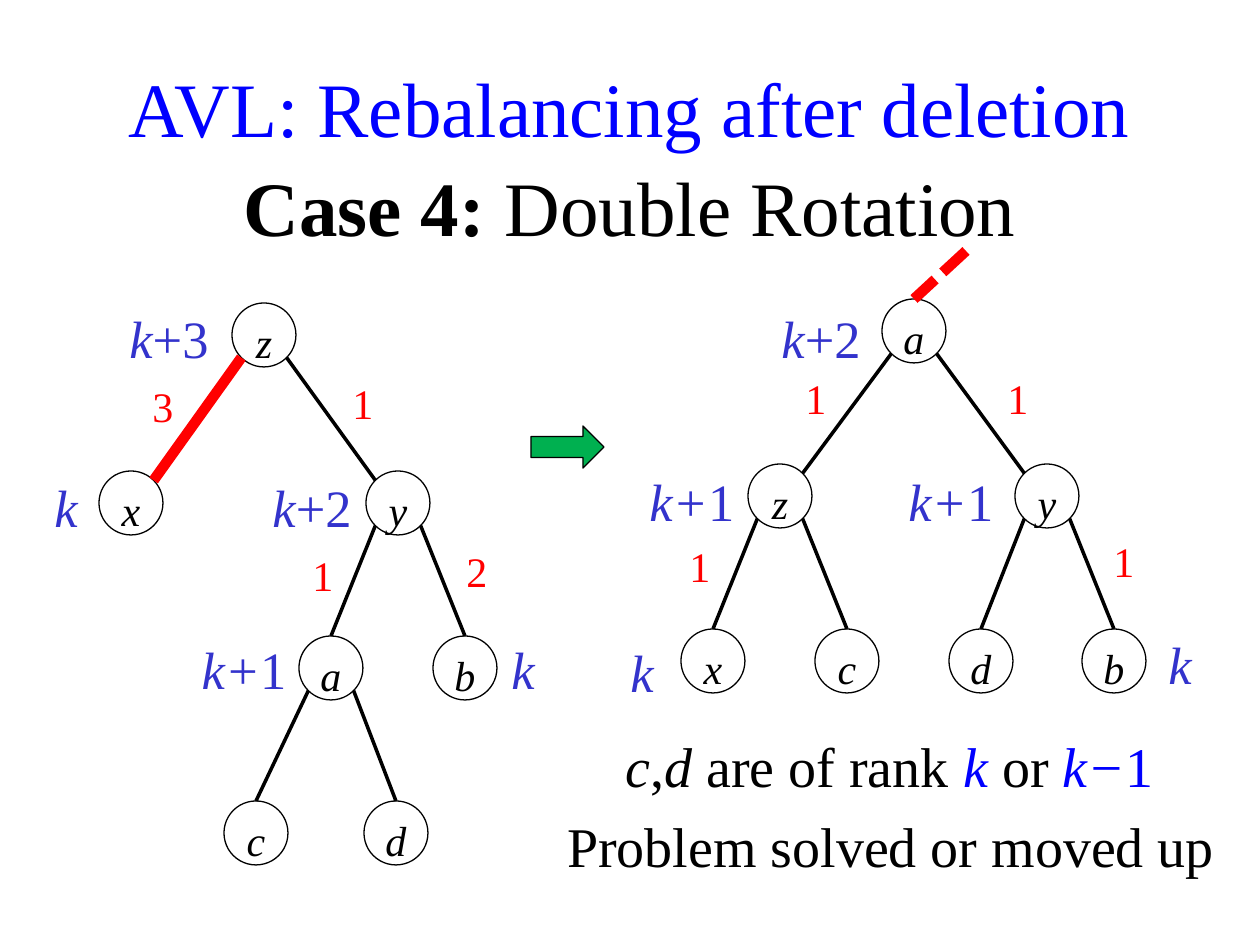
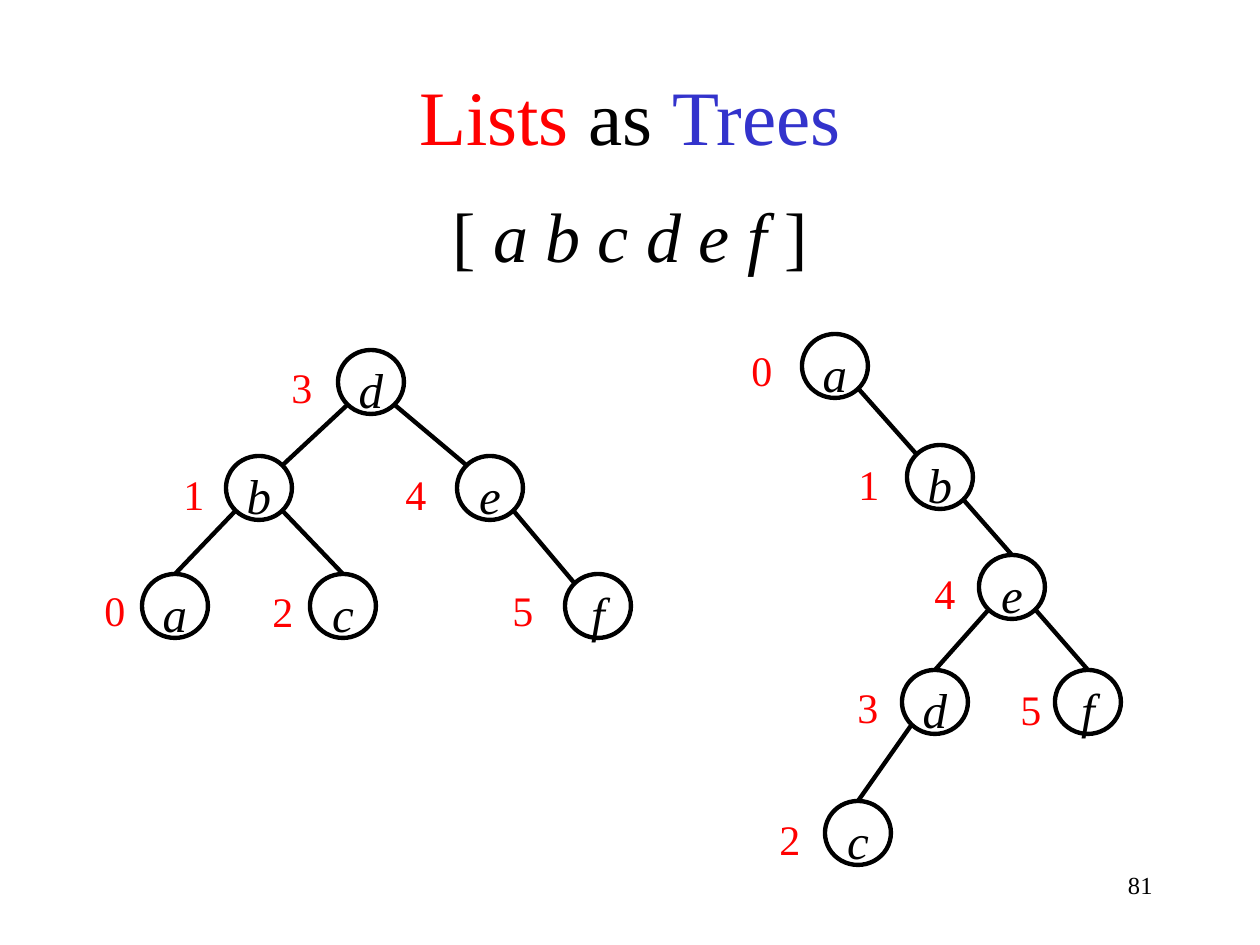
"""Builds two slides on AVL double rotation and on lists stored as trees."""
from dataclasses import dataclass

from lxml import etree
from pptx import Presentation
from pptx import util as u
from pptx.dml.color import RGBColor
from pptx.enum import dml, shapes, text
from pptx.oxml.ns import qn

PX = u.Inches(1) / 126


@dataclass(frozen=True)
class Theme:
    font: str = "Times New Roman"
    black: str = "000000"
    red: str = "FF0000"
    blue: str = "0000FF"
    indigo: str = "3333CC"
    green: str = "00B050"
    title: int = 44
    list: int = 40
    note: int = 32
    rank: int = 30
    digit: int = 24
    number: int = 14
    thin: float = 0.75
    heavy: int = 6
    drop: float = 0.12


@dataclass(frozen=True)
class NodeStyle:
    width: int
    height: int
    outline: float
    edge: float
    size: int
    inset: int


T = Theme()
ROTATION = NodeStyle(64, 64, T.thin, 2, T.digit, 4)
LISTS = NodeStyle(66, 64, 2.5, 2.5, 28, 0)

K = [("k", T.indigo, "i")]
K1 = [("k+", T.indigo, "i"), ("1", T.indigo, "")]
K2 = [("k", T.indigo, "i"), ("+2", T.indigo, "")]
K3 = [("k", T.indigo, "i"), ("+3", T.indigo, "")]

BEFORE = {
    "nodes": {"z": (264, 335), "x": (131, 503), "y": (398, 503), "a": (331, 668),
              "b": (465, 668), "c": (256, 833), "d": (396, 833)},
    "side": ["zx", "zy"],
    "top": ["ya", "yb", "ac", "ad"],
    "heavy": ["zx"],
    "ranks": [(K3, 169, 332), (K, 66, 501), (K2, 312, 501), (K1, 244, 663), (K, 523, 663)],
    "digits": [("3", 163, 401), ("1", 363, 398), ("1", 323, 570), ("2", 477, 566)],
}
AFTER = {
    "nodes": {"a": (914, 331), "z": (780, 496), "y": (1047, 496), "x": (713, 661),
              "c": (847, 661), "d": (981, 661), "b": (1114, 661)},
    "side": ["az", "ay"],
    "top": ["zx", "zc", "yd", "yb"],
    "ranks": [(K2, 821, 332), (K1, 692, 495), (K1, 951, 495), (K, 642, 666), (K, 1180, 658)],
    "digits": [("1", 816, 393), ("1", 1018, 393), ("1", 700, 561), ("1", 1124, 556)],
}
BALANCED = {
    "nodes": {"d": (371, 382), "b": (259, 488), "e": (490, 488), "a": (175, 606),
              "c": (343, 606), "f": (598, 606)},
    "side": ["db", "de", "ef"],
    "top": ["ba", "bc"],
    "digits": [("3", 302, 382), ("1", 194, 489), ("4", 416, 489), ("0", 115, 605),
               ("2", 283, 606), ("5", 523, 605)],
}
SKEWED = {
    "nodes": {"a": (835, 366), "b": (940, 477), "e": (1012, 587), "d": (935, 702),
              "f": (1088, 702), "c": (858, 833)},
    "side": ["ab"],
    "top": ["be", "ed", "ef", "dc"],
    "digits": [("0", 762, 365), ("1", 869, 479), ("4", 945, 588), ("3", 868, 702),
               ("5", 1031, 704), ("2", 790, 834)],
}

SLIDES = [
    {
        "title": ([("AVL: Rebalancing after deletion", T.blue, "")], (0, 45, 1260, 129)),
        "style": ROTATION,
        "trees": [BEFORE, AFTER],
        "texts": [
            ([("Case 4:", T.black, "b"), (" Double Rotation", T.black, "")],
             (0, 144, 1260, 106), T.title, "CENTER"),
            ([("c", T.black, "i"), (",", T.black, ""), ("d", T.black, "i"),
              (" are of rank ", T.black, ""), ("k", T.blue, "i"), (" or ", T.black, ""),
              ("k−", T.blue, "i"), ("1", T.blue, "")],
             (557, 718, 665, 81), T.note, "CENTER"),
            ([("Problem solved or moved up", T.black, "")],
             (532, 798, 718, 81), T.note, "CENTER"),
        ],
        "arrow": (531, 426, 73, 42),
        "upward": (966, 251),
    },
    {
        "title": ([("Lists ", T.red, ""), ("as ", T.black, ""), ("Trees", T.indigo, "")],
                  (0, 53, 1260, 125)),
        "style": LISTS,
        "trees": [SKEWED, BALANCED],
        "texts": [
            ([("[ ", T.black, ""), ("a b c d e f ", T.black, "i"), ("]", T.black, "")],
             (0, 178, 1260, 97), T.list, "CENTER"),
            ([("81", T.black, "")], (903, 861, 262, 63), T.number, "RIGHT"),
        ],
    },
]


def emu(*lengths):
    return [u.Emu(round(n * PX)) for n in lengths]


def write(tf, runs, size, align="CENTER"):
    tf.word_wrap = True
    tf.auto_size = text.MSO_AUTO_SIZE.NONE
    tf.vertical_anchor = text.MSO_ANCHOR.TOP
    p = tf.paragraphs[0]
    p.alignment = getattr(text.PP_ALIGN, align)
    for words, colour, flags in runs:
        r = p.add_run()
        r.text = words
        r.font.name, r.font.size = T.font, u.Pt(size)
        r.font.color.rgb = RGBColor.from_string(colour)
        r.font.bold, r.font.italic = "b" in flags, "i" in flags


def add_text(s, runs, box, size, align="CENTER"):
    tf = s.shapes.add_textbox(*emu(*box)).text_frame
    write(tf, runs, size, align)
    tf.margin_top = u.Pt(3.6 + T.drop * size)


def add_label(s, runs, cx, cy, width, height, size):
    add_text(s, runs, (cx - width / 2, cy - height / 2, width, height), size)


def add_preset(s, kind, box, outline, fill=None):
    sp = s.shapes.add_shape(kind, *emu(*box))
    sp.shadow.inherit = False
    if fill:
        sp.fill.solid()
        sp.fill.fore_color.rgb = RGBColor.from_string(fill)
    else:
        sp.fill.background()
    sp.line.color.rgb = RGBColor.from_string(T.black)
    sp.line.width = u.Pt(outline)
    return sp


def add_node(s, name, cx, cy, style):
    w, h = style.width, style.height
    sp = add_preset(s, shapes.MSO_SHAPE.OVAL, (cx - w / 2, cy - h / 2, w, h), style.outline)
    tf = sp.text_frame
    write(tf, [(name, T.black, "i")], style.size)
    tf.margin_left = tf.margin_right = tf.margin_bottom = 0
    tf.margin_top = emu(style.inset)[0]
    return sp


def add_line(s, start, end, colour, width):
    cx = s.shapes.add_connector(shapes.MSO_CONNECTOR.STRAIGHT, *emu(*start, *end))
    cx.line.color.rgb = RGBColor.from_string(colour)
    cx.line.width = u.Pt(width)
    etree.SubElement(cx._element.spPr, qn("a:effectLst"))
    return cx


def corner(centre, style, right, down):
    reach = 0.5 ** 0.5 / 2
    return centre[0] + right * reach * style.width, centre[1] + down * reach * style.height


def add_tree(s, tree, style):
    places = tree["nodes"]
    nodes = {name: add_node(s, name, *at, style) for name, at in places.items()}
    for edge in tree["side"] + tree["top"]:
        parent, child = (places[name] for name in edge)
        right = 1 if child[0] > parent[0] else -1
        heavy = edge in tree.get("heavy", [])
        cx = add_line(s, corner(parent, style, right, 1), corner(child, style, -right, -1),
                      T.red if heavy else T.black, T.heavy if heavy else style.edge)
        if edge in tree["top"]:
            cx.end_connect(nodes[edge[1]], 0)
    for runs, x, y in tree.get("ranks", []):
        add_label(s, runs, x, y, 134, 77, T.rank)
    for digit, x, y in tree["digits"]:
        add_label(s, [(digit, T.red, "")], x, y, 66, 63, T.digit)
    return nodes


def add_slide(prs, content):
    s = prs.slides.add_slide(prs.slide_layouts[5])
    runs, box = content["title"]
    title = s.shapes.title
    title.left, title.top, title.width, title.height = emu(*box)
    write(title.text_frame, runs, T.title)
    title.text_frame.margin_top = u.Pt(3.6 + T.drop * T.title)
    for item in content["texts"]:
        add_text(s, *item)
    trees = [add_tree(s, tree, content["style"]) for tree in content["trees"]]
    if "arrow" in content:
        add_preset(s, shapes.MSO_SHAPE.RIGHT_ARROW, content["arrow"], T.thin, T.green)
    if "upward" in content:
        upward = add_line(s, content["upward"], AFTER["nodes"]["a"], T.red, T.heavy)
        upward.line.dash_style = dml.MSO_LINE.SQUARE_DOT
        upward.end_connect(trees[1]["a"], 0)


def main():
    prs = Presentation()
    prs.slide_width, prs.slide_height = emu(1260, 945)
    for content in SLIDES:
        add_slide(prs, content)
    prs.save("out.pptx")


if __name__ == "__main__":
    main()
